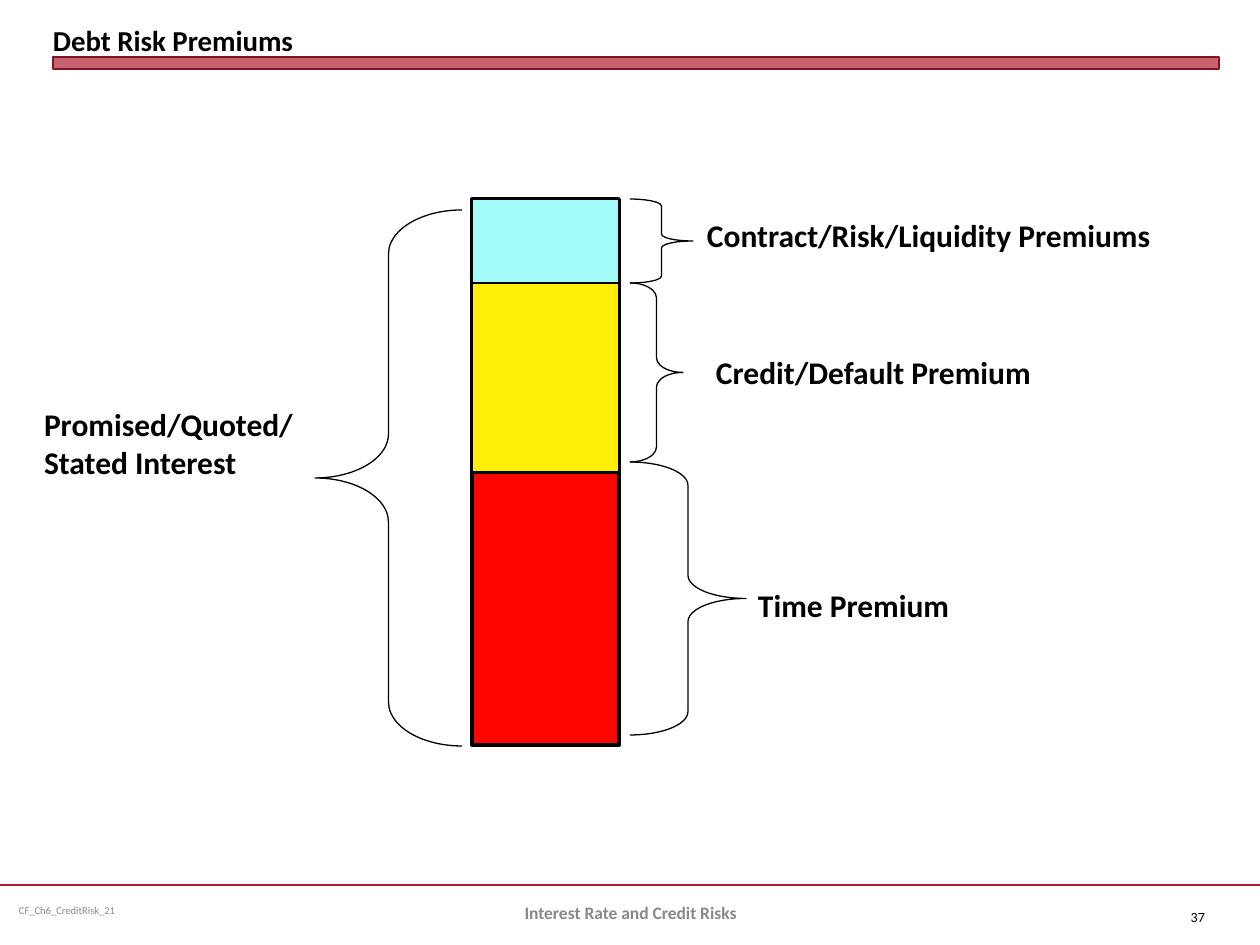
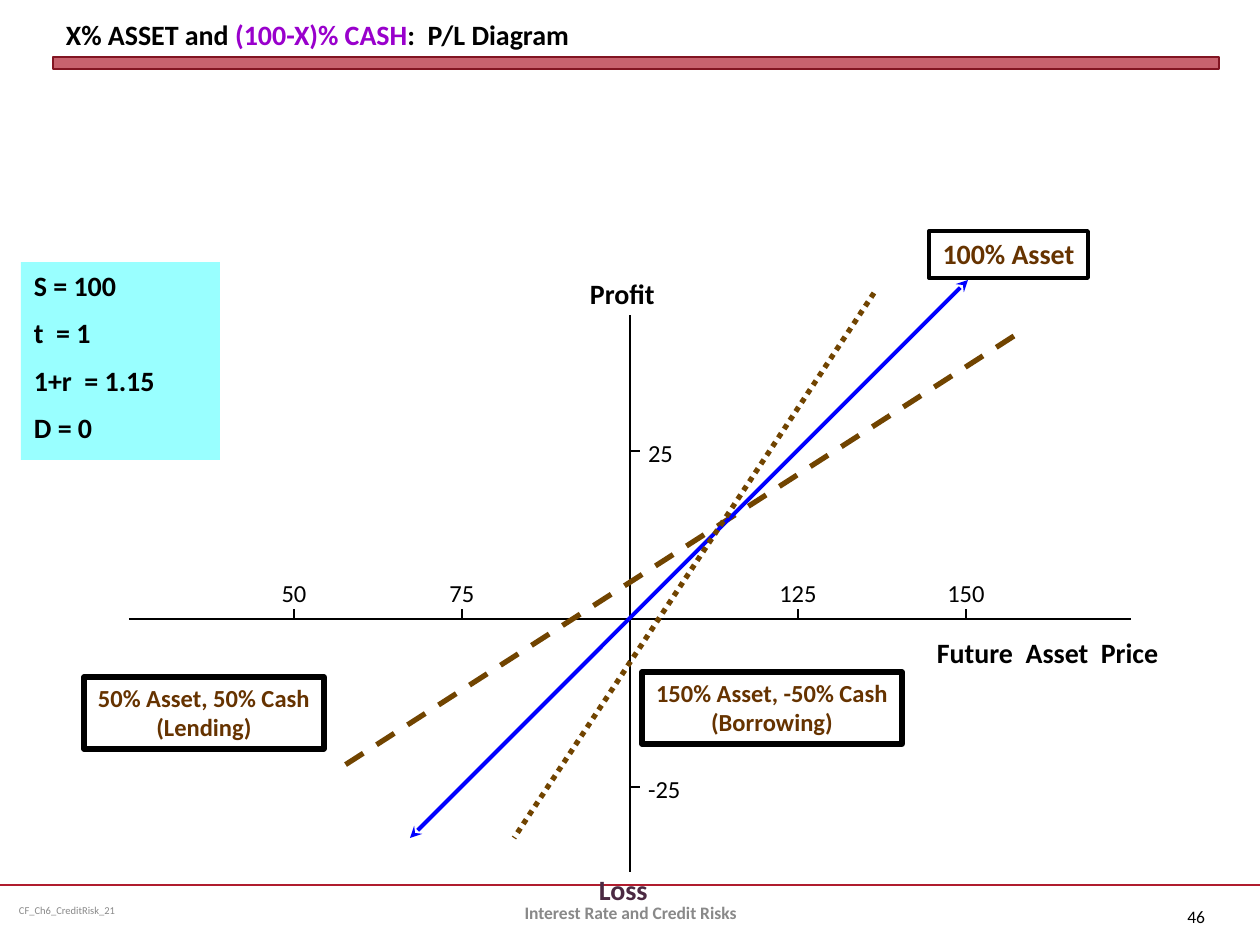
from lxml.etree import SubElement
from pptx import Presentation
from pptx.dml.color import RGBColor
from pptx.enum.dml import MSO_LINE_DASH_STYLE as Dash
from pptx.enum.shapes import MSO_CONNECTOR as Connector, MSO_SHAPE as Preset
from pptx.enum.text import MSO_ANCHOR as Anchor, PP_ALIGN as Align
from pptx.oxml.ns import qn
from pptx.util import Emu, Pt

PX = 914400 / 126
WIDTH, HEIGHT = 1260, 945
COLOURS = {
    "black": "000000", "grey": "898989", "crimson": "B01C2E", "maroon": "821522",
    "red": "FF0502", "yellow": "FFEF06", "pale cyan": "A3FBF9", "cyan": "99FFFF",
    "purple": "9900CC", "brown": "663300", "ochre": "714400", "blue": "0000FF",
    "plum": "4B2942",
}
RGB = {name: RGBColor.from_string(value) for name, value in COLOURS.items()}


def add_box(slide, bounds, paragraphs=(), size=18, colour="black", bold=True, align=Align.LEFT,
            anchor=Anchor.TOP, inset=(13, 6), gap=0, wrap=True,
            preset=None, fill=None, line=None, width=0.75):
    bounds = [Emu(round(value * PX)) for value in bounds]
    if preset is None:
        shape = slide.shapes.add_textbox(*bounds)
    else:
        shape = slide.shapes.add_shape(preset, *bounds)
        shape.shadow.inherit = False
        for format_part, part_colour in ((shape.fill, fill), (shape.line.fill, line)):
            if part_colour:
                format_part.solid()
                format_part.fore_color.rgb = RGB[part_colour]
            else:
                format_part.background()
        if line:
            shape.line.width = Pt(width)
    if not paragraphs:
        return shape
    frame = shape.text_frame
    across, down = (Emu(round(value * PX)) for value in inset)
    frame_format = {"word_wrap": wrap, "vertical_anchor": anchor,
                    "margin_left": across, "margin_right": across,
                    "margin_top": down, "margin_bottom": down}
    for name, value in frame_format.items():
        setattr(frame, name, value)
    for index, runs in enumerate(paragraphs):
        paragraph = frame.add_paragraph() if index else frame.paragraphs[0]
        paragraph.alignment = align
        paragraph.space_before = Pt(gap if index else 0)
        for text, run_colour in [(runs, colour)] if isinstance(runs, str) else runs:
            run = paragraph.add_run()
            run.text = text
            for name, value in {"name": "Calibri", "size": Pt(size), "bold": bold}.items():
                setattr(run.font, name, value)
            run.font.color.rgb = RGB[run_colour]
    return shape


def add_line(slide, points, colour="black", width=1, dash=None, arrows=False):
    points = [Emu(round(value * PX)) for value in points]
    connector = slide.shapes.add_connector(Connector.STRAIGHT, *points)
    connector.line.color.rgb = RGB[colour]
    connector.line.width = Pt(width)
    if dash:
        connector.line.dash_style = dash
    if arrows:
        for end in ("a:headEnd", "a:tailEnd"):
            SubElement(connector.line._get_or_add_ln(), qn(end), type="stealth")
    SubElement(connector._element.spPr, qn("a:effectLst"))


presentation = Presentation()
presentation.slide_width = Emu(round(WIDTH * PX))
presentation.slide_height = Emu(round(HEIGHT * PX))

headings = [
    (["Debt Risk Premiums"], 16.5, (0, 0), "37", 8),
    ([[("X% ASSET and ", "black"), ("(100-X)% CASH", "purple"), (":  P/L Diagram", "black")]],
     16, (13, 6), "46", 10),
]
slides = []
for title, title_size, title_inset, number, number_size in headings:
    slide = presentation.slides.add_slide(presentation.slide_layouts[6])
    slides.append(slide)
    add_line(slide, (0, 885, WIDTH, 885), "crimson", 1.25)
    band = add_box(slide, (53, 57, 1166, 12), preset=Preset.RECTANGLE,
                   fill="crimson", line="maroon", width=0)
    band_colour = band.fill._xPr.find(qn("a:solidFill"))[0]
    SubElement(band_colour, qn("a:alpha"), val="69000")
    add_box(slide, (53, 6, 1166, 51), title, title_size, anchor=Anchor.BOTTOM, inset=title_inset)
    add_box(slide, (10, 885, 325, 50), ["CF_Ch6_CreditRisk_21"], 6, "grey", False,
            anchor=Anchor.MIDDLE, inset=(9, 5))
    add_box(slide, (431, 888, 399, 50), ["Interest Rate and Credit Risks"], 10, "grey",
            align=Align.CENTER, anchor=Anchor.MIDDLE)
    add_box(slide, (1155, 892, 63, 50), [number], number_size, bold=False,
            align=Align.RIGHT, anchor=Anchor.MIDDLE)

premiums, diagram = slides

bar_left, bar_width = 472, 147
add_box(premiums, (bar_left, 199, bar_width, 546), preset=Preset.RECTANGLE,
        fill="red", line="black", width=2.25)
for divider, width in ((472, 2.25), (283, 2)):
    add_line(premiums, (bar_left, divider, bar_left + bar_width, divider), width=width)
for top, height, fill in ((283, 189, "yellow"), (199, 84, "pale cyan")):
    add_box(premiums, (bar_left, top, bar_width, height), preset=Preset.RECTANGLE,
            fill=fill, line="black")

braces = [
    (Preset.RIGHT_BRACE, (630, 462, 116, 273), 0.2),
    (Preset.RIGHT_BRACE, (630, 199, 63, 84), 0.11),
    (Preset.RIGHT_BRACE, (630, 283, 53, 179), 0.28),
    (Preset.LEFT_BRACE, (315, 210, 147, 536), 0.3),
]
for preset, bounds, curve in braces:
    brace = add_box(premiums, bounds, preset=preset, line="black")
    brace.adjustments[0] = curve

premium_labels = [
    ((31, 399, 311, 88), ["Promised/Quoted/", "Stated Interest"]),
    ((745, 580, 311, 50), ["Time Premium"]),
    ((694, 210, 546, 50), ["Contract/Risk/Liquidity Premiums"]),
    ((703, 347, 431, 50), ["Credit/Default Premium"]),
]
for bounds, label in premium_labels:
    add_box(premiums, bounds, label)

add_box(diagram, (21, 262, 199, 198), ["S = 100", "t  = 1", "1+r  = 1.15", "D = 0"], 16,
        gap=8, preset=Preset.RECTANGLE, fill="cyan")

origin_x, origin_y, step, tick = 630, 619, 168, 10
add_line(diagram, (129, origin_y, 1131, origin_y))
add_line(diagram, (origin_x, 872, origin_x, 315))
for steps, price in ((-2, "50"), (-1, "75"), (1, "125"), (2, "150")):
    x = origin_x + steps * step
    add_line(diagram, (x, origin_y, x, origin_y - tick))
    add_box(diagram, (x - 50, 572, 100, 43), [price], 14, bold=False, align=Align.CENTER)
for steps, profit in ((1, "25"), (-1, "-25")):
    y = origin_y - steps * step
    add_line(diagram, (origin_x, y, origin_x + tick, y))
    add_box(diagram, (635, y - 19, 84, 43), [profit], 14, bold=False)

axis_titles = [
    ((924, 630, 325, 47), "Future  Asset  Price", "black"),
    ((577, 271, 103, 47), "Profit", "black"),
    ((586, 867, 92, 47), "Loss", "plum"),
]
for bounds, axis_title, colour in axis_titles:
    add_box(diagram, bounds, [axis_title], 16, colour)

add_line(diagram, (1014, 336, 335 + 10, 765), "ochre", 3, Dash.DASH)
add_line(diagram, (968, 280, 410, 838), "blue", 2.25, arrows=True)
add_line(diagram, (874, 293, 514, 838), "ochre", 3, Dash.ROUND_DOT)

portfolios = [
    ((84, 677, 240, 72), ["50% Asset, 50% Cash", "(Lending)"], 14, 3),
    ((929, 231, 159, 47), ["100% Asset"], 16, 2.25),
    ((642, 672, 260, 72), ["150% Asset, -50% Cash", "(Borrowing)"], 14, 3),
]
for bounds, portfolio, size, width in portfolios:
    add_box(diagram, bounds, portfolio, size, "brown", align=Align.CENTER, wrap=False,
            preset=Preset.RECTANGLE, line="black", width=width)

presentation.save("out.pptx")
